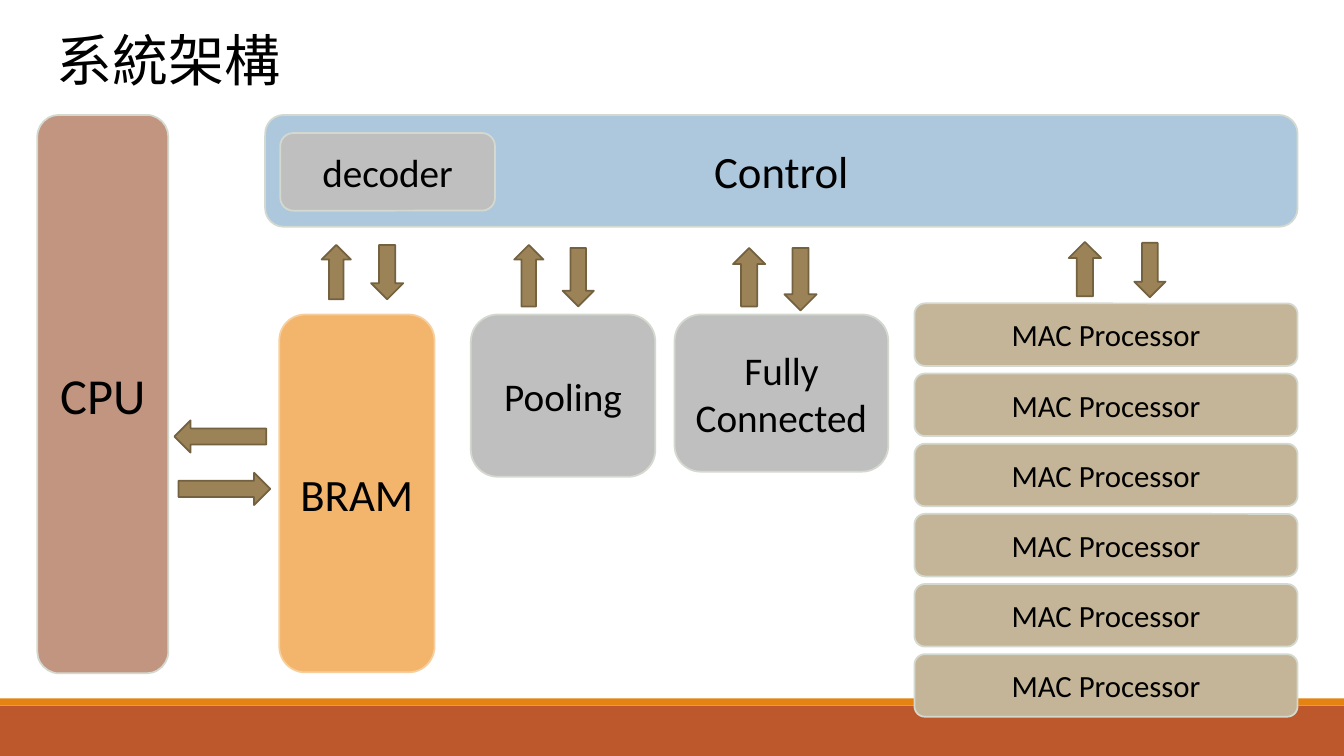
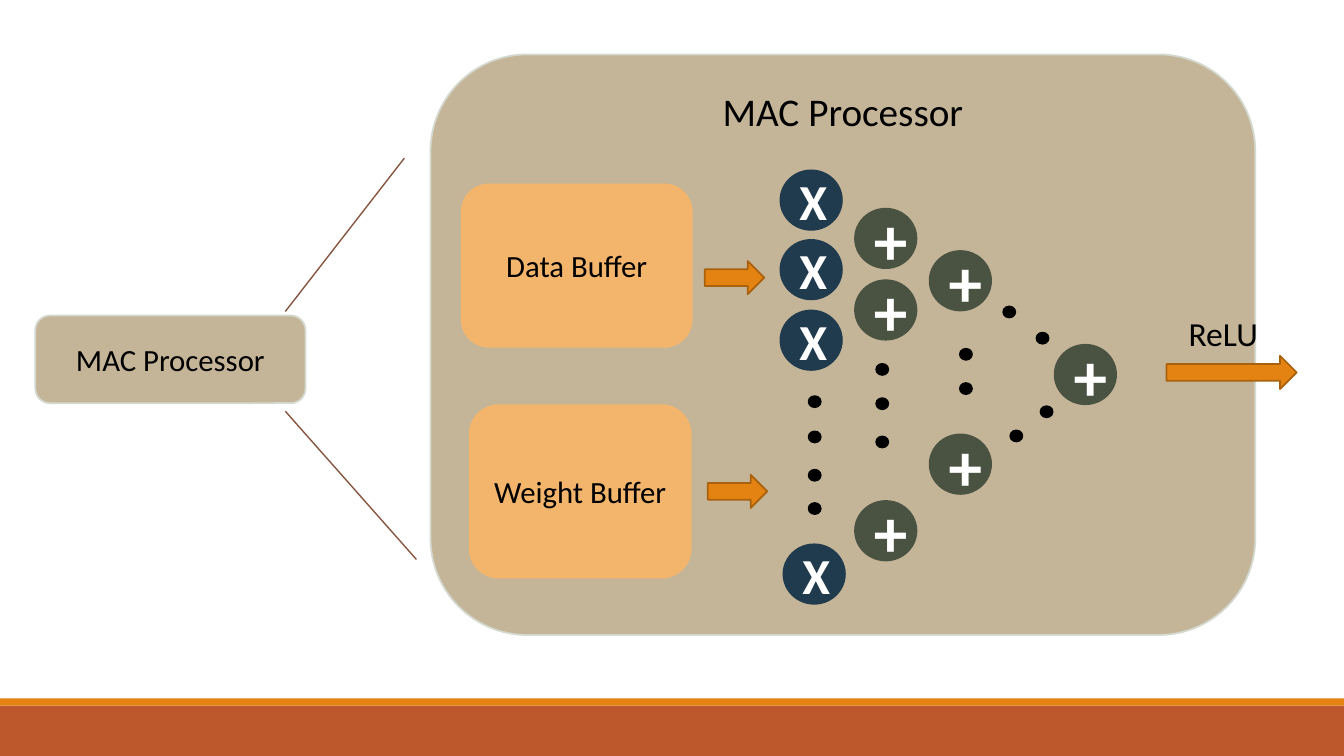
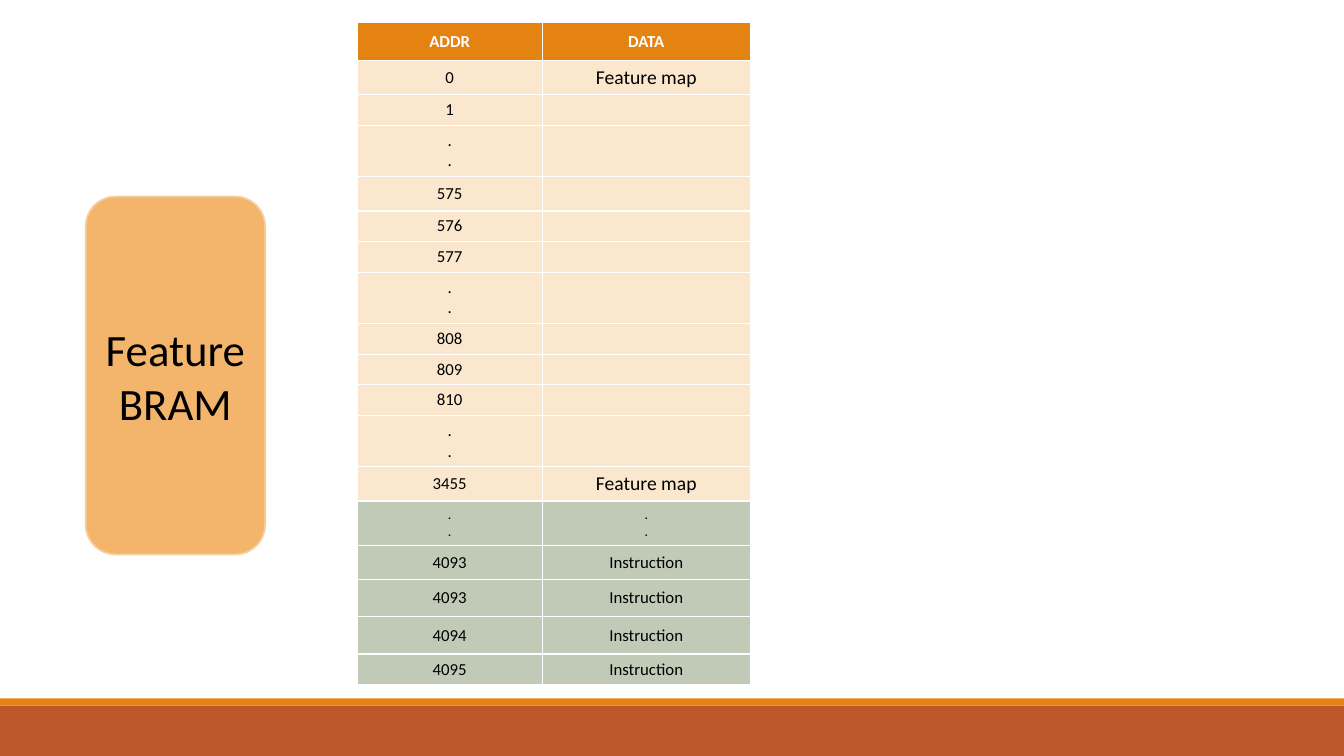
from dataclasses import dataclass

from lxml import etree
from pptx import Presentation
from pptx import util as u
from pptx.dml.color import RGBColor
from pptx.enum import shapes, text
from pptx.oxml import ns

SHAPE = shapes.MSO_SHAPE
ANCHOR = text.MSO_ANCHOR
ALIGN = text.PP_ALIGN


@dataclass(frozen=True)
class Theme:
    latin: str = "Calibri"
    cjk: str = "Noto Sans CJK SC"
    black: str = "000000"
    white: str = "FFFFFF"
    band: str = "BD582C"
    accent: str = "E48312"
    accent_edge: str = "A9610D"
    edge: str = "D4D9CF"
    cpu: str = "C29580"
    memory: str = "F3B56C"
    memory_edge: str = "F7CE9D"
    control: str = "ADC8DD"
    mac: str = "C5B598"
    unit: str = "BFBFBF"
    bus: str = "9B8357"
    bus_edge: str = "736140"
    multiplier: str = "203A4E"
    adder: str = "4A5242"
    zoom_line: str = "865640"
    feature_row: str = "FBE6CE"
    instruction_row: str = "C1CAB6"
    title_size: int = 40
    adder_size: int = 48
    huge: int = 36
    large: int = 32
    medium: int = 28
    note: int = 24
    small: int = 22
    cell_large: int = 14
    cell: int = 12
    cell_small: int = 10


T = Theme()


class Deck:
    def __init__(self):
        self.prs = Presentation()
        self.prs.slide_width = u.Inches(13.33)
        self.prs.slide_height = u.Inches(7.5)
        self.slide = None

    def new_slide(self):
        self.slide = self.prs.slides.add_slide(self.prs.slide_layouts[6])
        self.shape(SHAPE.RECTANGLE, (0, 7, 13.33, 0.5), T.band)
        self.shape(SHAPE.RECTANGLE, (0, 6.93, 13.33, 0.07), T.accent)

    def add_lines(self, frame, lines, size, color=T.black, bold=False,
                  align=ALIGN.CENTER, font=T.latin):
        """Add one paragraph for each line."""
        for i, line in enumerate(lines.split("\n")):
            para = frame.paragraphs[0] if i == 0 else frame.add_paragraph()
            para.alignment = align
            if not line:
                end = etree.SubElement(para._p, ns.qn("a:endParaRPr"))
                end.set("sz", str(size * 100))
                continue
            run = para.add_run()
            run.text = line
            run.font.name, run.font.size, run.font.bold = font, u.Pt(size), bold
            run.font.color.rgb = RGBColor.from_string(color)
            east_asian = etree.SubElement(run._r.get_or_add_rPr(), ns.qn("a:ea"))
            east_asian.set("typeface", font)

    def shape(self, kind, box, fill, edge=None):
        shape = self.slide.shapes.add_shape(kind, *map(u.Inches, box))
        shape.shadow.inherit = False
        shape.fill.solid()
        shape.fill.fore_color.rgb = RGBColor.from_string(fill)
        if edge:
            shape.line.color.rgb = RGBColor.from_string(edge)
            shape.line.width = u.Pt(1.25)
        else:
            shape.line.fill.background()
        return shape

    def block(self, label, box, fill, size, edge=T.edge, anchor=ANCHOR.MIDDLE):
        frame = self.shape(SHAPE.ROUNDED_RECTANGLE, box, fill, edge).text_frame
        frame.vertical_anchor = anchor
        self.add_lines(frame, label, size)

    def operator(self, symbol, left, top, fill, size):
        frame = self.shape(SHAPE.OVAL, (left, top, 0.61, 0.59), fill, fill).text_frame
        frame.vertical_anchor = ANCHOR.MIDDLE
        self.add_lines(frame, symbol, size, T.white, bold=True)

    def dot(self, left, top):
        self.shape(SHAPE.OVAL, (left, top, 0.12, 0.11), T.black, T.black)

    def line(self, start, end, color):
        line = self.slide.shapes.add_connector(
            shapes.MSO_CONNECTOR.STRAIGHT, *map(u.Inches, start + end))
        line.line.color.rgb = RGBColor.from_string(color)
        line.line.width = u.Pt(1)
        etree.SubElement(line._element.spPr, ns.qn("a:effectLst"))

    def label(self, words, box, size, font=T.latin):
        frame = self.slide.shapes.add_textbox(*map(u.Inches, box)).text_frame
        frame.word_wrap = True
        self.add_lines(frame, words, size, align=ALIGN.LEFT, font=font)

    def table(self, left, top, widths, rows):
        """Each row holds height, fill, text size, address and data."""
        heights = [row[0] for row in rows]
        box = (left, top, sum(widths), sum(heights))
        table = self.slide.shapes.add_table(
            len(rows), len(widths), *map(u.Inches, box)).table
        table.horz_banding = False
        for column, width in zip(table.columns, widths):
            column.width = u.Inches(width)
        for r, (height, fill, size, *values) in enumerate(rows):
            table.rows[r].height = u.Inches(height)
            for c, value in enumerate(values):
                cell = table.cell(r, c)
                cell.fill.solid()
                cell.fill.fore_color.rgb = RGBColor.from_string(fill)
                cell.vertical_anchor = ANCHOR.MIDDLE
                cell_size = T.cell_large if value == "Feature map" else size
                self.add_lines(cell.text_frame, value, cell_size,
                               T.white if r == 0 else T.black, bold=r == 0)


def architecture(deck):
    deck.new_slide()
    deck.block("CPU", (0.37, 1.14, 1.3, 5.54), T.cpu, T.huge)
    deck.block("BRAM", (2.77, 3.12, 1.54, 3.55), T.memory, T.large, T.memory_edge)
    deck.block("Control", (2.63, 1.14, 10.24, 1.11), T.control, T.large)
    mac_count, first_top, last_top = 6, 3.01, 6.49
    pitch = (last_top - first_top) / (mac_count - 1)
    for i in range(mac_count):
        deck.block("MAC Processor", (9.07, first_top + i * pitch, 3.8, 0.62),
                   T.mac, T.small)
    deck.block("Pooling", (4.67, 3.12, 1.83, 1.61), T.unit, T.medium)
    deck.block("Fully\nConnected", (6.69, 3.12, 2.12, 1.56), T.unit, T.medium)
    buses = {
        SHAPE.UP_ARROW: [(3.19, 2.43, 0.29, 0.54), (5.1, 2.43, 0.29, 0.61),
                         (7.27, 2.46, 0.32, 0.58), (10.6, 2.4, 0.32, 0.54)],
        SHAPE.DOWN_ARROW: [(3.68, 2.43, 0.32, 0.54), (5.58, 2.46, 0.31, 0.58),
                           (7.78, 2.46, 0.32, 0.62), (11.25, 2.41, 0.31, 0.54)],
        SHAPE.RIGHT_ARROW: [(1.77, 4.69, 0.91, 0.32)],
        SHAPE.LEFT_ARROW: [(1.73, 4.17, 0.91, 0.32)],
    }
    for direction, boxes in buses.items():
        for box in boxes:
            deck.shape(direction, box, T.bus, T.bus_edge)
    deck.label("系統架構", (0.46, 0.2, 4.22, 0.77), T.title_size, T.cjk)
    deck.block("decoder", (2.78, 1.32, 2.13, 0.77), T.unit, T.medium)


def mac_processor(deck):
    deck.new_slide()
    deck.block("MAC Processor", (0.35, 3.13, 2.68, 0.87), T.mac, T.small)
    deck.block("MAC Processor", (4.27, 0.54, 8.18, 5.76), T.mac, T.medium,
               anchor=ANCHOR.TOP)
    for left, top in [(7.74, 1.69), (7.74, 2.38), (7.74, 3.08), (7.77, 5.4)]:
        deck.operator("X", left, top, T.multiplier, T.huge)
    for left, top in [(8.48, 2.07), (8.48, 2.78), (8.48, 4.97),
                      (9.22, 2.49), (9.22, 4.31), (10.46, 3.42)]:
        deck.operator("+", left, top, T.adder, T.adder_size)
    dot_columns = [(8.02, (3.93, 4.28, 4.66, 4.99)), (8.69, (3.61, 3.95, 4.33)),
                   (9.52, (3.46, 3.8))]
    for left, tops in dot_columns:
        for top in tops:
            deck.dot(left, top)
    for left, top in [(9.95, 3.04), (10.28, 3.3), (10.02, 4.27), (10.32, 4.03)]:
        deck.dot(left, top)
    for name, box in [("Data Buffer", (4.58, 1.83, 2.28, 1.61)),
                      ("Weight Buffer", (4.66, 4.02, 2.19, 1.71))]:
        deck.block(name, box, T.memory, T.small, T.memory)
    for left, top, length in [(6.99, 2.59, 0.59), (7.02, 4.71, 0.59),
                              (11.57, 3.53, 1.29)]:
        deck.shape(SHAPE.RIGHT_ARROW, (left, top, length, 0.33),
                   T.accent, T.accent_edge)
    deck.line((2.83, 3.09), (4.01, 1.57), T.zoom_line)
    deck.line((2.83, 4.08), (4.13, 5.55), T.zoom_line)
    deck.label("ReLU", (11.69, 3.06, 1.1, 0.5), T.note)


def feature_memory(deck):
    deck.new_slide()
    deck.block("Feature\nBRAM", (0.85, 1.95, 1.78, 3.55), T.memory, T.large,
               T.memory_edge)
    gap = ".\n."
    features = [
        (0.34, "0", "Feature map"), (0.3, "1", ""), (0.51, gap, ""),
        (0.34, "575", ""), (0.3, "576", ""), (0.3, "577", ""), (0.51, gap, ""),
        (0.3, "808", ""), (0.3, "809", ""), (0.3, "810", ""), (0.51, gap, ""),
        (0.34, "3455", "Feature map"),
    ]
    instructions = [(0.34, "4093"), (0.37, "4093"), (0.37, "4094"), (0.3, "4095")]
    rows = [(0.38, T.accent, T.cell, "ADDR", "DATA")]
    rows += [(height, T.feature_row, T.cell, address, data)
             for height, address, data in features]
    rows.append((0.44, T.instruction_row, T.cell_small, gap, gap))
    rows += [(height, T.instruction_row, T.cell, address, "Instruction")
             for height, address in instructions]
    deck.table(3.54, 0.22, (1.84, 2.06), rows)


def main():
    deck = Deck()
    architecture(deck)
    mac_processor(deck)
    feature_memory(deck)
    deck.prs.save("out.pptx")


if __name__ == "__main__":
    main()
